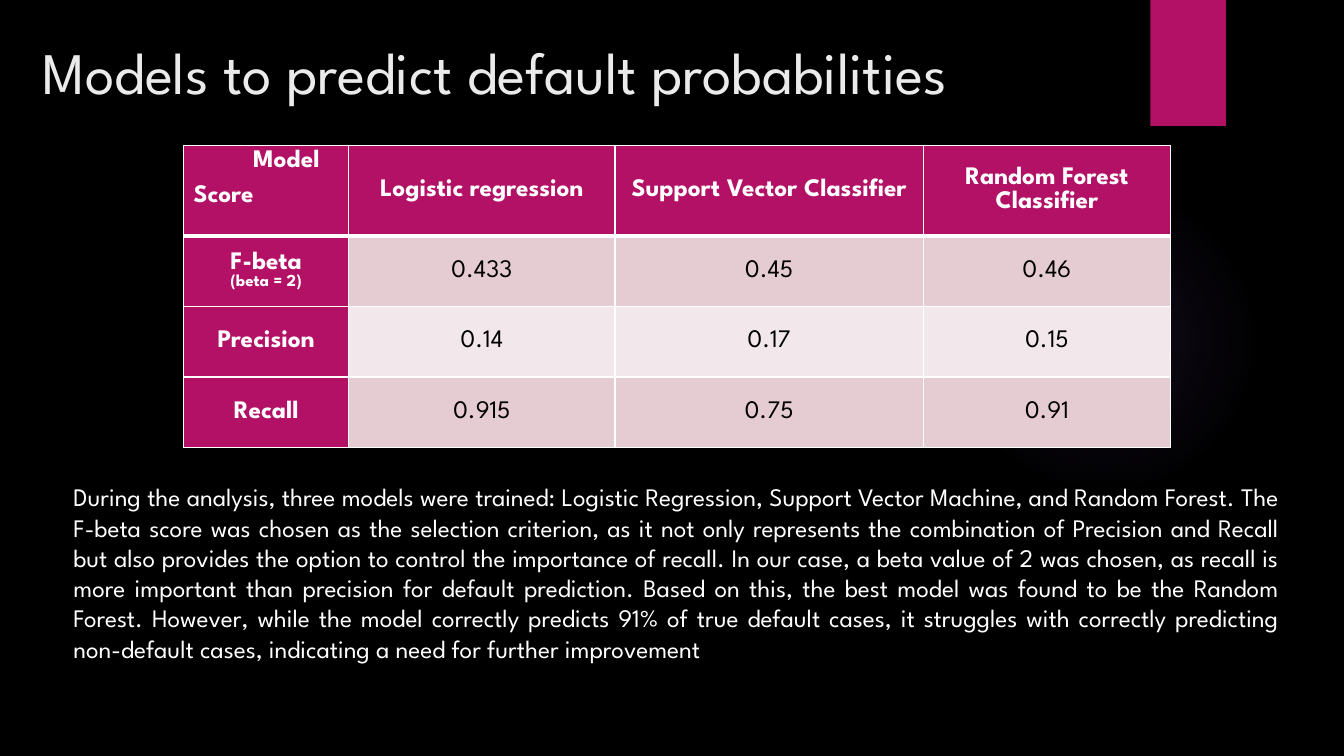
from lxml import etree
from pptx import Presentation
from pptx.dml.color import RGBColor
from pptx.enum.shapes import MSO_SHAPE as Shape
from pptx.enum.text import MSO_ANCHOR as Anchor, MSO_AUTO_SIZE as AutoSize, PP_ALIGN as Align
from pptx.oxml import parse_xml
from pptx.oxml.ns import nsdecls, qn
from pptx.util import Pt

PX = 9144  # 100 px to the inch
FONT = "League Spartan"
BLACK = RGBColor(0x00, 0x00, 0x00)
WHITE = RGBColor(0xFF, 0xFF, 0xFF)
TITLE_GREY = RGBColor(0xEB, 0xEB, 0xEB)
MAGENTA = RGBColor(0xB3, 0x11, 0x66)
ROSE = RGBColor(0xE5, 0xCC, 0xD3)
PALE_ROSE = RGBColor(0xF2, 0xE7, 0xEA)
GLOW = RGBColor(0x9B, 0x6B, 0xF2)


def add_span(para, text, size, color, bold=False):
    span = para.add_run()
    span.text = text
    span.font.name = FONT
    span.font.size = Pt(size)
    span.font.color.rgb = color
    span.font.bold = bold


def set_borders(cell, bottom_width):
    """Draw white borders of 1 pt, with the bottom one as wide as given."""
    properties = cell._tc.get_or_add_tcPr()
    for index, side in enumerate(("lnL", "lnR", "lnT", "lnB")):
        line = etree.Element(qn(f"a:{side}"))
        line.set("w", str(Pt(bottom_width if side == "lnB" else 1)))
        fill = etree.SubElement(line, qn("a:solidFill"))
        etree.SubElement(fill, qn("a:srgbClr")).set("val", str(WHITE))
        properties.insert(index, line)


deck = Presentation()
deck.slide_width = 1333 * PX
deck.slide_height = 750 * PX
page = deck.slides.add_slide(deck.slide_layouts[5])
page.background.fill.solid()
page.background.fill.fore_color.rgb = BLACK

# Backdrop: a faint round glow and the bookmark at the top edge
glow = page.shapes.add_shape(Shape.OVAL, 941 * PX, 183 * PX, 308 * PX, 308 * PX)
glow.shadow.inherit = False
glow.line.fill.background()
glow.fill.background()
stops = "".join(
    f'<a:gs pos="{place * 1000}"><a:srgbClr val="{GLOW}">'
    f'<a:alpha val="{alpha * 1000}"/></a:srgbClr></a:gs>'
    for place, alpha in ((0, 7), (36, 6), (69, 0))
)
gradient = parse_xml(
    f'<a:gradFill {nsdecls("a")}><a:gsLst>{stops}</a:gsLst><a:path path="circle">'
    '<a:fillToRect l="50000" t="50000" r="50000" b="50000"/></a:path></a:gradFill>'
)
no_fill = glow._element.spPr.find(qn("a:noFill"))
no_fill.getparent().replace(no_fill, gradient)

bookmark = page.shapes.add_shape(Shape.RECTANGLE, 1141 * PX, 0, 75 * PX, 125 * PX)
bookmark.shadow.inherit = False
bookmark.fill.solid()
bookmark.fill.fore_color.rgb = MAGENTA
bookmark.line.fill.background()

# Title, brought in front of the backdrop
title = page.shapes.title
title.left, title.top, title.width, title.height = 32 * PX, 30 * PX, 1220 * PX, 153 * PX
title.text_frame.vertical_anchor = Anchor.TOP
title.text_frame.auto_size = AutoSize.NONE
title.text_frame.word_wrap = True
para = title.text_frame.paragraphs[0]
para.alignment = Align.LEFT
add_span(para, "Models to predict default probabilities", 42, TITLE_GREY)
bookmark._element.addnext(title._element)

# Score table
COLUMNS = (164, 264, 306, 245)
ROWS = (90, 70, 70, 70)
SCORES = (
    ("", "Logistic regression", "Support Vector Classifier", "Random Forest Classifier"),
    ("F-beta", "0.433", "0.45", "0.46"),
    ("Precision", "0.14", "0.17", "0.15"),
    ("Recall", "0.915", "0.75", "0.91"),
)
table = page.shapes.add_table(
    len(ROWS), len(COLUMNS), 182 * PX, 144 * PX, sum(COLUMNS) * PX, sum(ROWS) * PX
).table
for column, width in zip(table.columns, COLUMNS):
    column.width = width * PX
for row, height in zip(table.rows, ROWS):
    row.height = height * PX

for r, scores in enumerate(SCORES):
    for c, text in enumerate(scores):
        cell = table.cell(r, c)
        heading = r == 0 or c == 0
        cell.fill.solid()
        cell.fill.fore_color.rgb = MAGENTA if heading else ROSE if r % 2 else PALE_ROSE
        set_borders(cell, 3 if r == 0 else 1)
        if text:
            cell.vertical_anchor = Anchor.MIDDLE
            para = cell.text_frame.paragraphs[0]
            para.alignment = Align.CENTER
            add_span(para, text, 18, WHITE if heading else BLACK, heading)

corner = table.cell(0, 0).text_frame
para = corner.paragraphs[0]
para._p.get_or_add_pPr().set("marL", str(59 * PX))
add_span(para, "Model", 18, WHITE, True)
para = corner.add_paragraph()
para.line_spacing = 1.5
add_span(para, "Score", 18, WHITE, True)

para = table.cell(1, 0).text_frame.add_paragraph()
para.alignment = Align.CENTER
add_span(para, "(beta = 2)", 12, WHITE, True)

# Findings
box = page.shapes.add_textbox(63 * PX, 473 * PX, 1216 * PX, 222 * PX)
box.text_frame.word_wrap = True
box.text_frame.auto_size = AutoSize.SHAPE_TO_FIT_TEXT
para = box.text_frame.paragraphs[0]
para.alignment = Align.JUSTIFY
add_span(
    para,
    "During the analysis, three models were trained: Logistic Regression, Support Vector "
    "Machine, and Random Forest. The F-beta score was chosen as the selection criterion, as "
    "it not only represents the combination of Precision and Recall but also provides the "
    "option to control the importance of recall. In our case, a beta value of 2 was chosen, "
    "as recall is more important than precision for default prediction. Based on this, the "
    "best model was found to be the Random Forest. However, while the model correctly "
    "predicts 91% of true default cases, it struggles with correctly predicting non-default "
    "cases, indicating a need for further improvement",
    18,
    WHITE,
)

deck.save("out.pptx")
